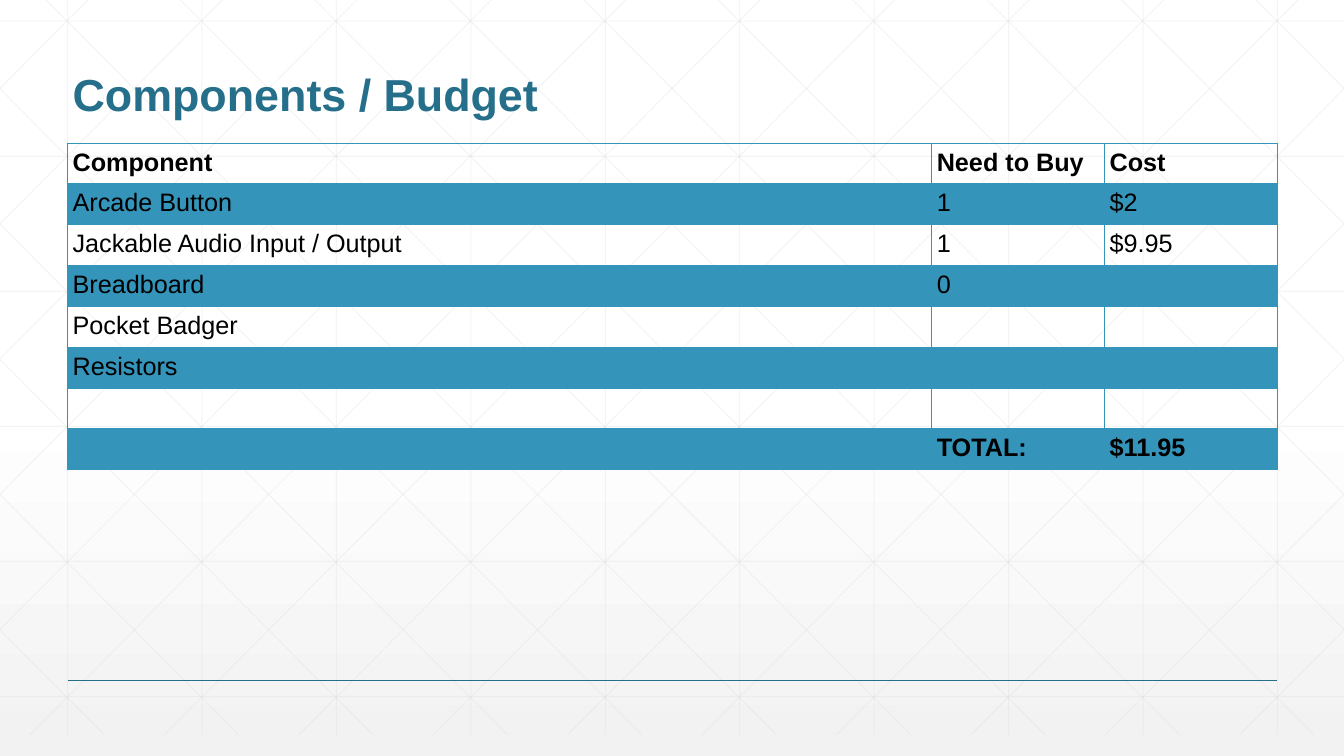
"""Build the Components / Budget slide: a parts table over a faint lattice."""
from lxml.etree import SubElement
from pptx import Presentation
from pptx.dml.color import RGBColor
from pptx.enum.shapes import MSO_CONNECTOR as Connector
from pptx.enum.text import MSO_ANCHOR as Anchor
from pptx.oxml.ns import qn
from pptx.util import Inches, Pt

WIDTH, HEIGHT = 13.33, 7.5
TEAL, BLUE, LATTICE = "266F8B", "3494BA", "D8D8D8"
TOP, BOTTOM, STEP = -0.21, 7.29, 4 / 3


def paint(fill, color, opacity=100):
    fill.solid()
    fill.fore_color.rgb = RGBColor.from_string(color)
    if opacity < 100:
        tint = fill._xPr.find(".//" + qn("a:srgbClr"))
        SubElement(tint, qn("a:alpha"), val=str(opacity * 1000))


def draw_line(start, end, color, weight, opacity=100):
    line = slide.shapes.add_connector(
        Connector.STRAIGHT, *[Inches(v) for v in (*start, *end)])
    line.line.width = Pt(weight)
    paint(line.line.fill, color, opacity)
    SubElement(line._element.spPr, qn("a:effectLst"))


prs = Presentation()
prs.slide_width, prs.slide_height = Inches(WIDTH), Inches(HEIGHT)
slide = prs.slides.add_slide(prs.slide_layouts[6])

backdrop = slide.background.fill
backdrop.gradient()
backdrop.gradient_angle = 270
for stop, (position, color) in zip(backdrop.gradient_stops, [(0.53, "FFFFFF"), (1, "F2F2F2")]):
    stop.position = position
    stop.color.rgb = RGBColor.from_string(color)

lattice = [((0.67 + STEP * i, TOP), (0.67 + STEP * i, BOTTOM)) for i in range(10)]
lattice += [((0, 0.21 + 1.34 * i), (WIDTH, 0.21 + 1.34 * i)) for i in range(6)]
slope = (BOTTOM - TOP) / 7.45
for i in range(-5, 10):
    entry = 0.25 + STEP * i
    left, right = max(entry, 0), min(entry + 7.45, WIDTH)
    upper, lower = [TOP + (x - entry) * slope for x in (left, right)]
    lattice.append(((left, upper), (right, lower)))
    lattice.append(((WIDTH - left, upper), (WIDTH - right, lower)))
for start, end in lattice:
    draw_line(start, end, LATTICE, 0.75, 25)
draw_line((0.67, 6.75), (12.67, 6.75), TEAL, 1)

title = slide.shapes.add_textbox(Inches(0.67), Inches(0.25), Inches(12), Inches(1)).text_frame
title.word_wrap = True
title.vertical_anchor = Anchor.BOTTOM
title.margin_left = title.margin_right = Inches(0.05)
title.margin_top = title.margin_bottom = Inches(0.05)
heading = title.paragraphs[0]
heading.line_spacing = 0.9
heading_run = heading.add_run()
heading_run.text = "Components / Budget"
heading_run.font.name, heading_run.font.size, heading_run.font.bold = "Arial", Pt(32), True
heading_run.font.color.rgb = RGBColor.from_string(TEAL)

budget = [
    ("Component", "Need to Buy", "Cost"),
    ("Arcade Button", "1", "$2"),
    ("Jackable Audio Input / Output", "1", "$9.95"),
    ("Breadboard", "0", ""),
    ("Pocket Badger", "", ""),
    ("Resistors", "", ""),
    ("", "", ""),
    ("", "TOTAL:", "$11.95"),
]
last = len(budget) - 1
table = slide.shapes.add_table(
    len(budget), 3, Inches(0.67), Inches(1.42), Inches(12), Inches(3.24)).table
table.first_row = table.horz_banding = False
for column, share in zip(table.columns, (5, 1, 1)):
    column.width = Inches(12 * share / 7)

for r, entries in enumerate(budget):
    for c, entry in enumerate(entries):
        cell = table.cell(r, c)
        cell.margin_left = cell.margin_right = Inches(0.05)
        cell.margin_top = cell.margin_bottom = Inches(0.05)
        borders = cell._tc.get_or_add_tcPr()
        for side in ("lnL", "lnR", "lnT", "lnB"):
            under_header = (r, side) in ((0, "lnB"), (1, "lnT"))
            edge = SubElement(borders, qn("a:" + side), w=str(Pt(2 if under_header else 1)))
            SubElement(SubElement(edge, qn("a:solidFill")), qn("a:srgbClr"), val=BLUE)
        if r % 2:
            paint(cell.fill, BLUE, 20)
        else:
            cell.fill.background()
        paragraph = cell.text_frame.paragraphs[0]
        paragraph.font.size = Pt(18)
        if entry:
            run = paragraph.add_run()
            run.text = entry
            run.font.name, run.font.size = "Arial", Pt(18)
            run.font.bold = r in (0, last)
            run.font.color.rgb = RGBColor.from_string("000000")

prs.save("out.pptx")
